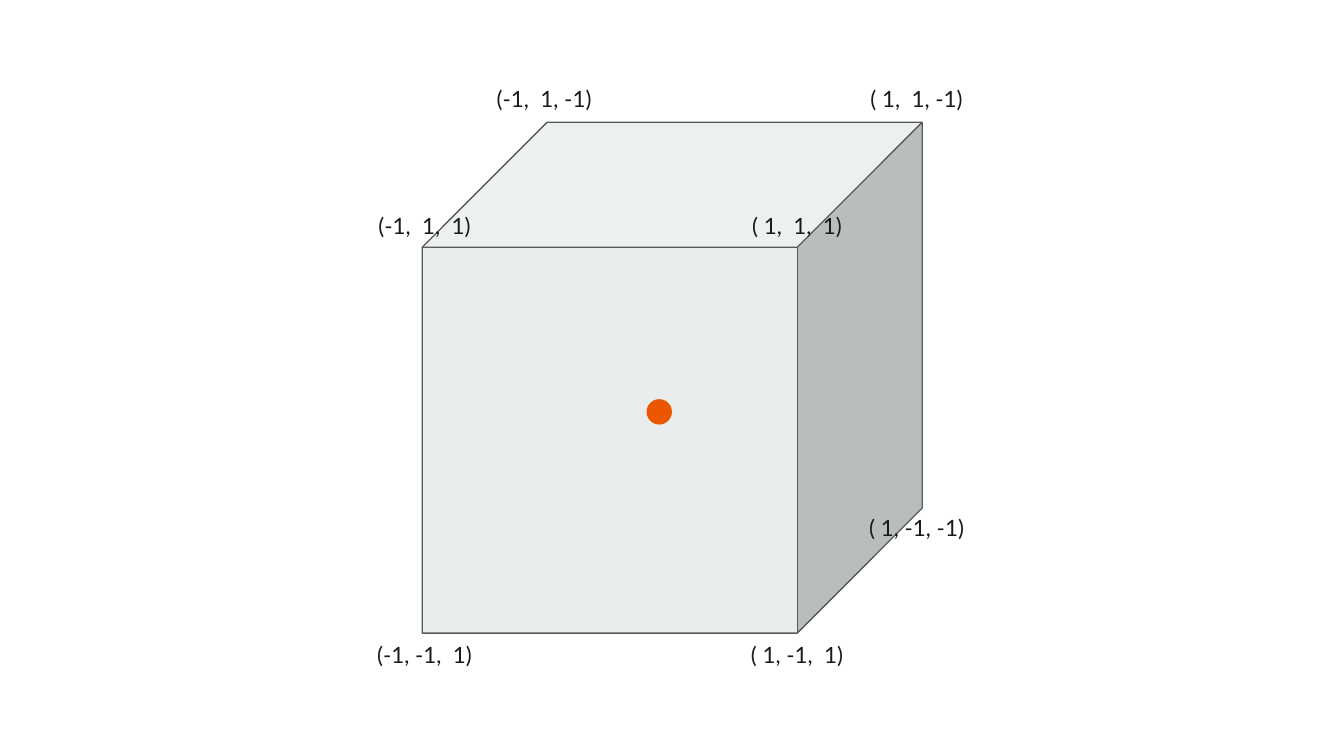
from itertools import product
from pptx import Presentation
from pptx.dml.color import RGBColor
from pptx.enum.shapes import MSO_SHAPE
from pptx.enum.text import MSO_ANCHOR, PP_ALIGN
from pptx.util import Cm, Pt


def paint(color, code):
    color.rgb = RGBColor.from_string(code)


def add_solid(kind, left, top, width, height, code):
    shape = slide.shapes.add_shape(kind, Cm(left), Cm(top), Cm(width), Cm(height))
    shape.shadow.inherit = False
    shape.fill.solid()
    paint(shape.fill.fore_color, code)
    return shape


deck = Presentation()
deck.slide_width, deck.slide_height = Cm(25.4), Cm(14.28)
slide = deck.slides.add_slide(deck.slide_layouts[6])

cube = add_solid(MSO_SHAPE.CUBE, 7.98, 2.31, 9.45, 9.65, "E9EDEE")
cube.adjustments[0] = 0.25
cube.line.width = Pt(0.75)
paint(cube.line.color, "595959")

for z, y, x in product((1, -1), repeat=3):
    if (x, y, z) == (-1, -1, -1):
        continue
    left = 6.83 + (7.04 if x == 1 else 0) + (2.26 if z == -1 else 0)
    top = 11.96 - (8.1 if y == 1 else 0) - (2.4 if z == -1 else 0)
    box = slide.shapes.add_textbox(Cm(left), Cm(top), Cm(2.39), Cm(0.81))
    frame = box.text_frame
    frame.word_wrap = True
    frame.vertical_anchor = MSO_ANCHOR.MIDDLE
    frame.margin_left = frame.margin_right = Cm(0.25)
    frame.margin_top = frame.margin_bottom = Cm(0.25)
    para = frame.paragraphs[0]
    para.alignment = PP_ALIGN.CENTER
    run = para.add_run()
    run.text = f"({x:2}, {y:2}, {z:2})"
    run.font.name = "Lato"
    run.font.size = Pt(12)
    paint(run.font.color, "1A1A1A")

dot = add_solid(MSO_SHAPE.OVAL, 12.22, 7.54, 0.48, 0.48, "EB5600")
dot.line.fill.background()

deck.save("out.pptx")
